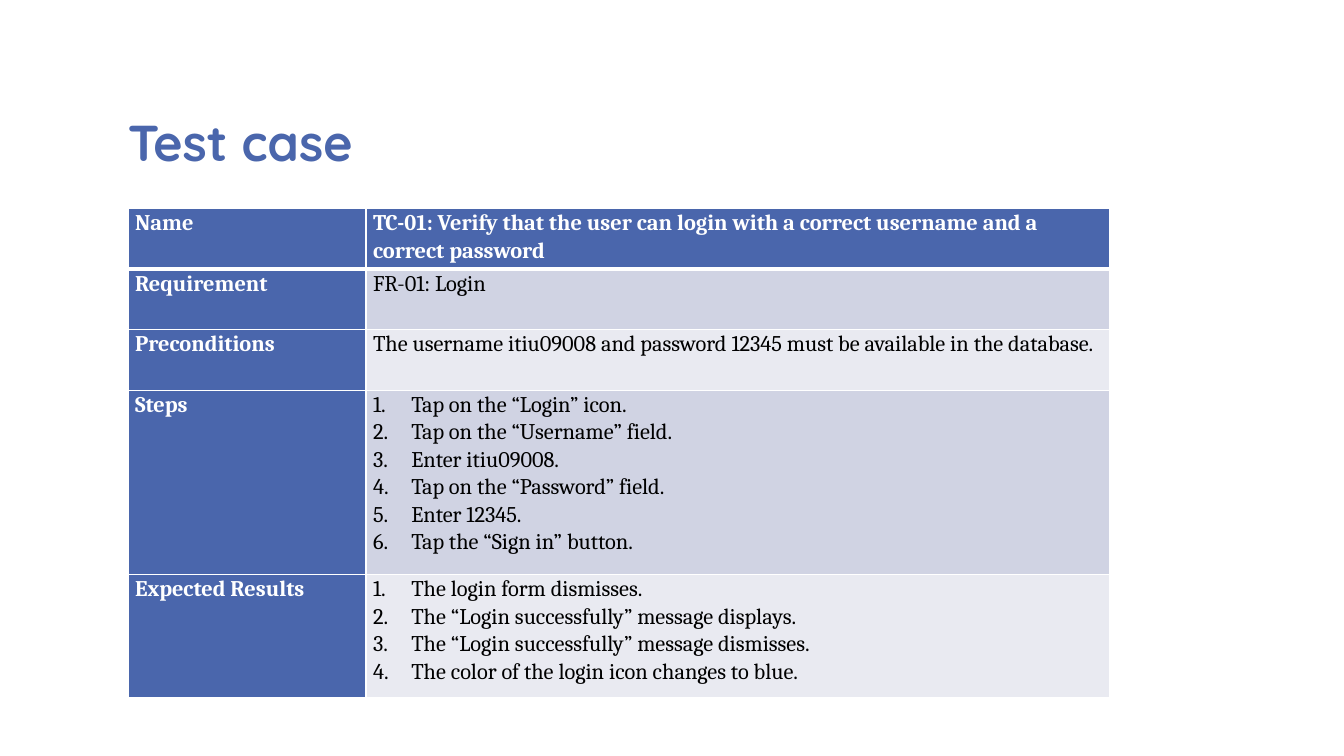
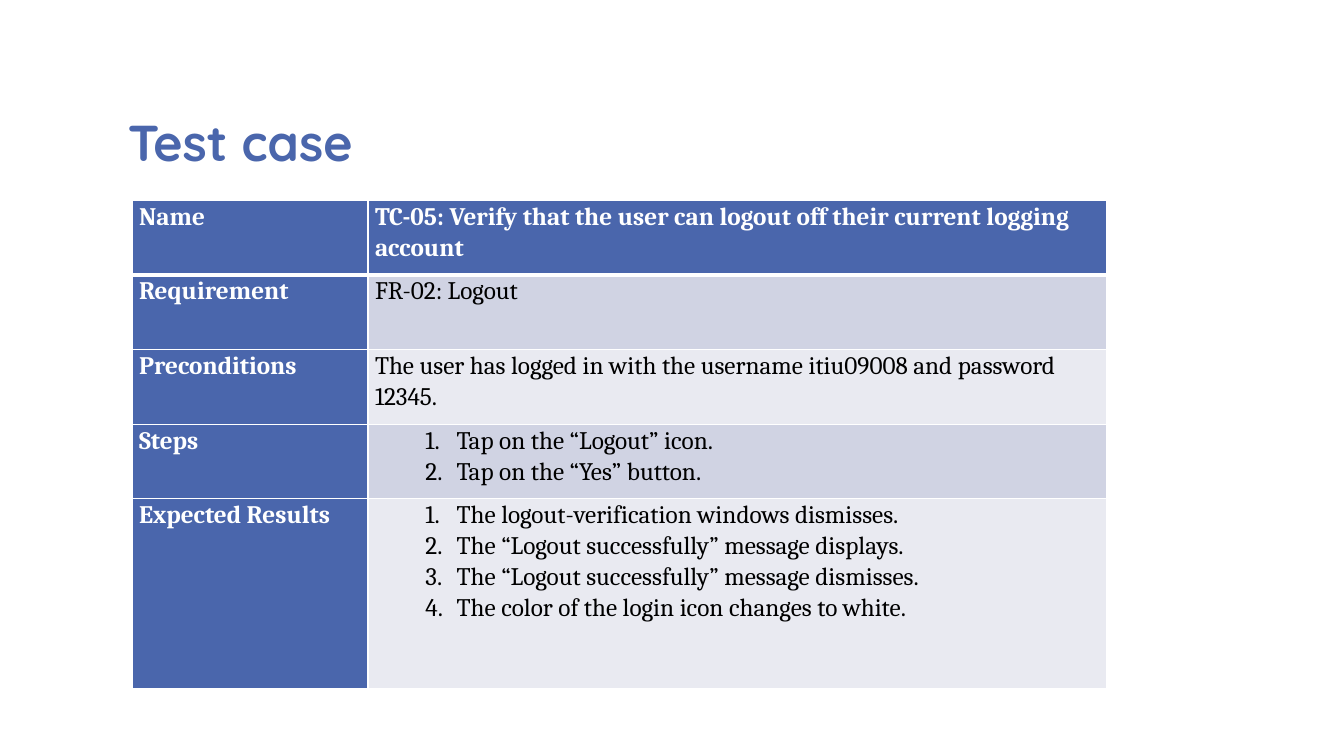
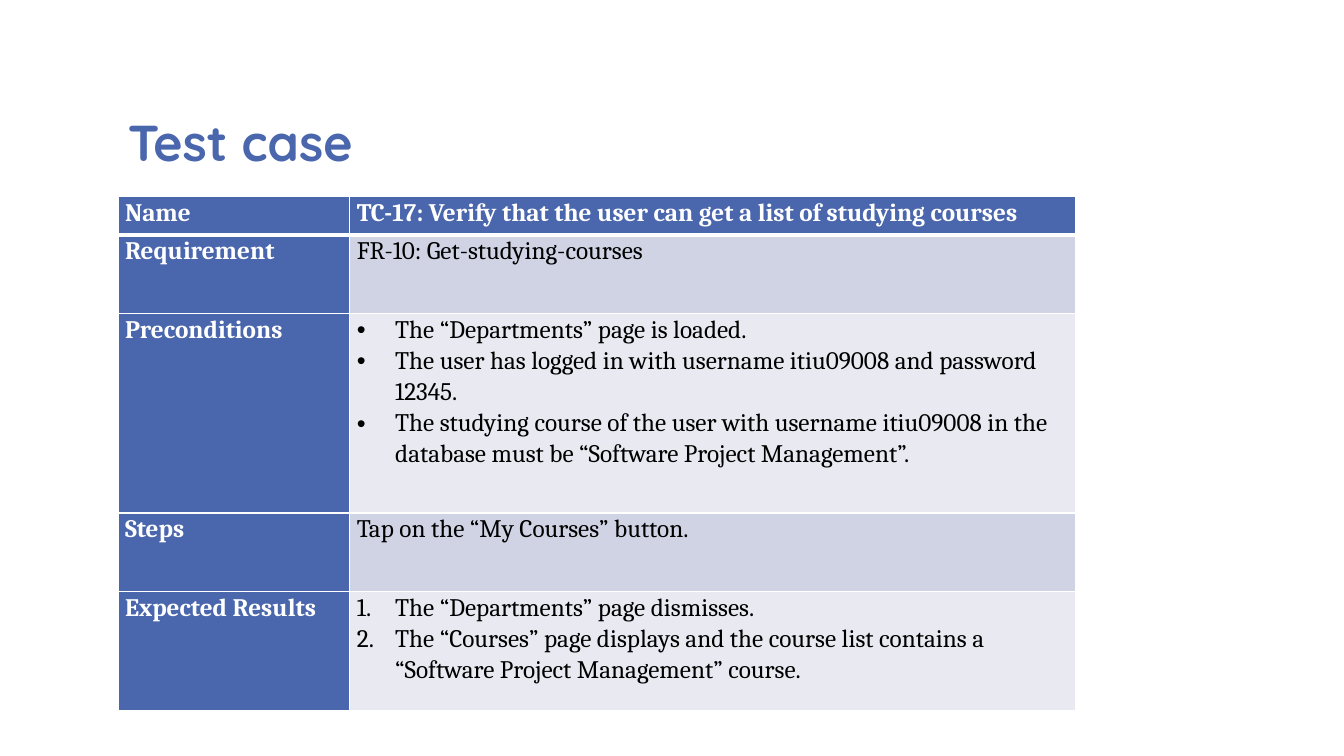
import pptx
import pptx.dml.color
import pptx.enum.text
import pptx.oxml
import pptx.oxml.ns
import pptx.util
from pptx.util import Inches

BLUE, WHITE, BLACK = "4A66AC", "FFFFFF", "000000"
BANDS = ("E9EAF1", "D0D3E3")  # even rows, odd rows
TITLE_FONT, TABLE_FONT = "Quicksand", "Cambria"
TITLE = "Test case"
LABELS = ("Name", "Requirement", "Preconditions", "Steps", "Expected Results")

# List styles: marker tag, its attribute, left margin, hanging indent
NUMBERED = ("a:buAutoNum", 'type="arabicPeriod"', 0.38, 0.38)
INDENTED = ("a:buAutoNum", 'type="arabicPeriod"', 0.81, 0.31)
BULLETED = ("a:buChar", 'char="•"', 0.38, 0.38)

# One entry per slide; each value is a list style and its paragraphs
TEST_CASES = [
    {
        "position": (1.27, 2.07), "columns": (2.36, 7.38),
        "rows": (0.6, 0.6, 0.6, 1.83, 1.22), "size": 16,
        "values": [
            (None, ["TC-01: Verify that the user can login with a correct username and a correct password"]),
            (None, ["FR-01: Login"]),
            (None, ["The username itiu09008 and password 12345 must be available in the database."]),
            (NUMBERED, ["Tap on the “Login” icon.",
                        "Tap on the “Username” field.",
                        "Enter itiu09008.",
                        "Tap on the “Password” field.",
                        "Enter 12345.",
                        "Tap the “Sign in” button."]),
            (NUMBERED, ["The login form dismisses.",
                        "The “Login successfully” message displays.",
                        "The “Login successfully” message dismisses.",
                        "The color of the login icon changes to blue."]),
        ],
    },
    {
        "position": (1.31, 1.99), "columns": (2.34, 7.33),
        "rows": (0.74, 0.74, 0.74, 0.74, 1.88), "size": 18,
        "values": [
            (None, ["TC-05: Verify that the user can logout off their current logging account"]),
            (None, ["FR-02: Logout"]),
            (None, ["The user has logged in with the username itiu09008 and password 12345."]),
            (INDENTED, ["Tap on the “Logout” icon.",
                        "Tap on the “Yes” button."]),
            (INDENTED, ["The logout-verification windows dismisses.",
                        "The “Logout successfully” message displays.",
                        "The “Logout successfully” message dismisses.",
                        "The color of the login icon changes to white."]),
        ],
    },
    {
        "position": (1.17, 1.95), "columns": (2.3, 7.2),
        "rows": (0.38, 0.78, 1.98, 0.78, 1.18), "size": 18,
        "values": [
            (None, ["TC-17: Verify that the user can get a list of studying courses"]),
            (None, ["FR-10: Get-studying-courses"]),
            (BULLETED, ["The “Departments” page is loaded.",
                        "The user has logged in with username itiu09008 and password 12345.",
                        "The studying course of the user with username itiu09008 in the database "
                        "must be “Software Project Management”."]),
            (None, ["Tap on the “My Courses” button."]),
            (NUMBERED, ["The “Departments” page dismisses.",
                        "The “Courses” page displays and the course list contains a "
                        "“Software Project Management” course."]),
        ],
    },
]


def color(value):
    return pptx.dml.color.RGBColor.from_string(value)


def set_font(paragraph, name, size, value, bold):
    font = paragraph.font
    font.name, font.size, font.bold = name, pptx.util.Pt(size), bold
    font.color.rgb = color(value)


def add_marker(paragraph, style):
    tag, attribute, margin, hanging = style
    properties = paragraph._p.get_or_add_pPr()
    properties.set("marL", str(Inches(margin)))
    properties.set("indent", str(-Inches(hanging)))
    namespace = pptx.oxml.ns.nsdecls("a")
    properties.append(pptx.oxml.parse_xml(f'<a:buFont {namespace} typeface="Arial"/>'))
    properties.append(pptx.oxml.parse_xml(f"<{tag} {namespace} {attribute}/>"))


def add_borders(cell, row):
    widths = {"L": 1, "R": 1, "T": 3 if row == 1 else 1, "B": 3 if row == 0 else 1}
    for side, width in widths.items():
        cell._tc.get_or_add_tcPr().append(pptx.oxml.parse_xml(
            f'<a:ln{side} {pptx.oxml.ns.nsdecls("a")} w="{pptx.util.Pt(width)}">'
            f'<a:solidFill><a:srgbClr val="{WHITE}"/></a:solidFill></a:ln{side}>'))


def fill_cell(cell, row, paragraphs, style, size, heading):
    cell.margin_left = cell.margin_right = Inches(0.07)
    cell.margin_top = cell.margin_bottom = 0
    add_borders(cell, row)
    cell.fill.solid()
    cell.fill.fore_color.rgb = color(BLUE if heading else BANDS[row % 2])
    frame = cell.text_frame
    for index, text in enumerate(paragraphs):
        paragraph = frame.add_paragraph() if index else frame.paragraphs[0]
        paragraph.text = text
        paragraph.line_spacing = 1.07
        if style:
            add_marker(paragraph, style)
        set_font(paragraph, TABLE_FONT, size, WHITE if heading else BLACK, heading)


def add_title(slide):
    box = slide.shapes.add_textbox(Inches(1.17), Inches(0.58), Inches(9.5), Inches(1.17))
    frame = box.text_frame
    frame.word_wrap = True
    frame.vertical_anchor = pptx.enum.text.MSO_ANCHOR.BOTTOM
    paragraph = frame.paragraphs[0]
    paragraph.text = TITLE
    paragraph.line_spacing = 0.8
    set_font(paragraph, TITLE_FONT, 36, BLUE, True)


def add_test_table(slide, case):
    left, top = case["position"]
    columns, rows = case["columns"], case["rows"]
    table = slide.shapes.add_table(
        len(rows), len(columns), Inches(left), Inches(top),
        Inches(sum(columns)), Inches(sum(rows))).table
    table.horz_banding = False
    for column, width in zip(table.columns, columns):
        column.width = Inches(width)
    for row, (height, label, (style, texts)) in enumerate(zip(rows, LABELS, case["values"])):
        table.rows[row].height = Inches(height)
        fill_cell(table.cell(row, 0), row, [label], None, case["size"], True)
        fill_cell(table.cell(row, 1), row, texts, style, case["size"], row == 0)


def main():
    presentation = pptx.Presentation()
    presentation.slide_width, presentation.slide_height = Inches(13.33), Inches(7.5)
    for case in TEST_CASES:
        slide = presentation.slides.add_slide(presentation.slide_layouts[6])
        add_title(slide)
        add_test_table(slide, case)
    presentation.save("out.pptx")


if __name__ == "__main__":
    main()
